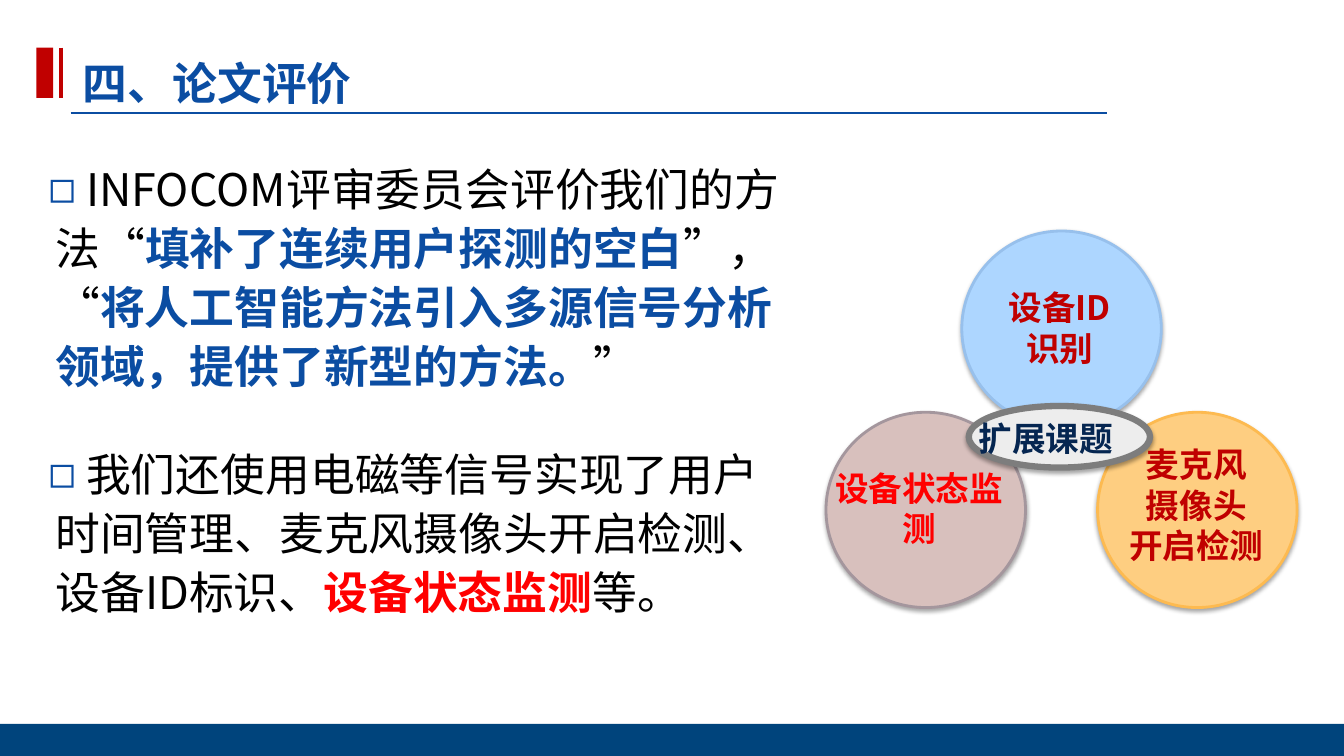
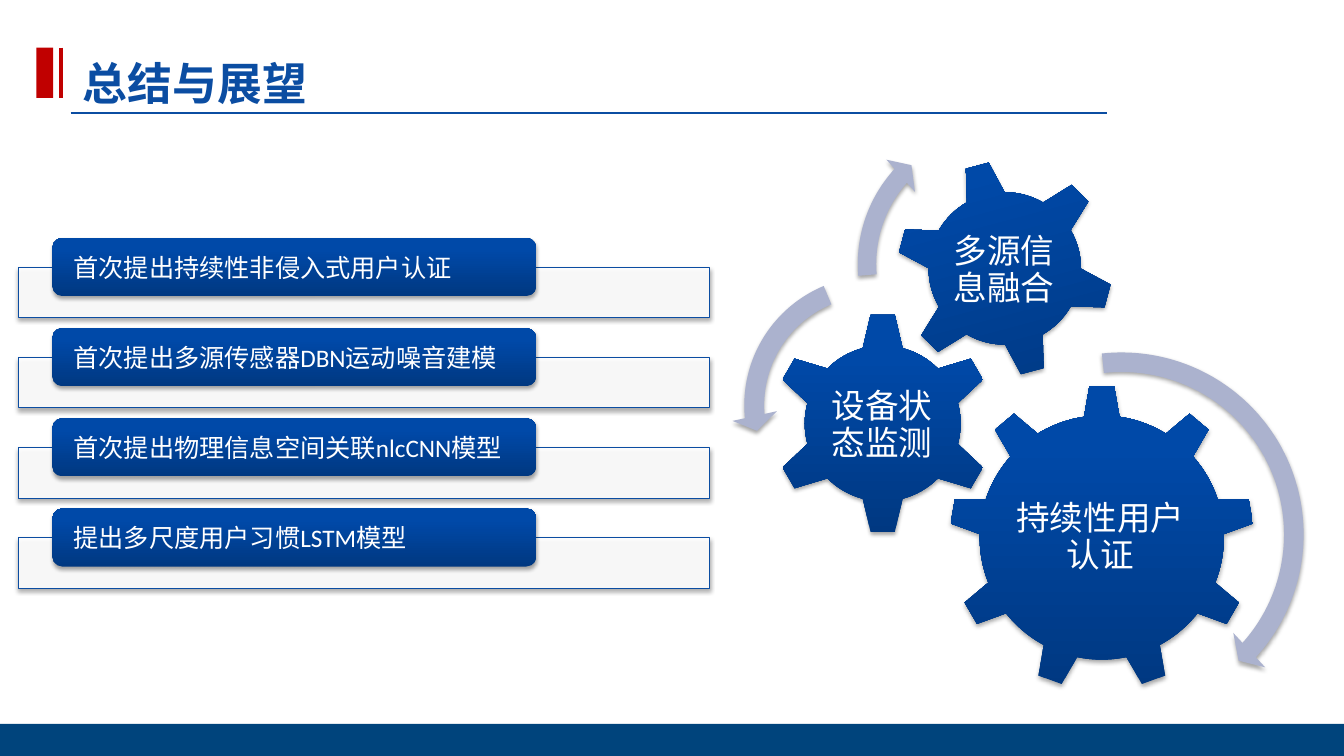
from lxml import etree
from pptx import Presentation
from pptx.dml.color import RGBColor
from pptx.enum import shapes, text
from pptx.oxml import ns
from pptx.util import Pt

COLORS = {
    "white": "FFFFFF", "black": "000000", "blue": "0B4DA2", "band": "00447C",
    "crimson": "C00000", "red": "FF0000", "navy": "052651",
    "gear dark": "003881", "gear light": "0049A8", "arrow": "ABB2CE",
    "sky": "ADD6FF", "sky edge": "97C0EC", "orange": "FECE81",
    "orange edge": "FDBA50", "rose": "D8C0BD", "rose edge": "A4969D",
    "silver": "EDEDED", "gray": "7D7D7D",
}
RGB = {name: RGBColor.from_string(value) for name, value in COLORS.items()}
CJK = "Noto Sans CJK SC"
KIND = shapes.MSO_SHAPE


def paint(shape, fill, line=None, width=0, shadow=True):
    """Fill and outline a shape; the fill "gear" is the dark blue gradient."""
    if fill == "gear":
        shape.fill.gradient()
        shape.fill.gradient_angle = 90
        stops = shape.fill.gradient_stops
        for stop, color, position in zip(stops, ("gear dark", "gear light"), (0, 0.8)):
            stop.color.rgb = RGB[color]
            stop.position = position
    else:
        shape.fill.solid()
        shape.fill.fore_color.rgb = RGB[fill]
    if line:
        shape.line.color.rgb = RGB[line]
        shape.line.width = Pt(width)
    else:
        shape.line.fill.background()
    shape.shadow.inherit = False
    if shadow:
        effects = shape.element.spPr.find(ns.qn("a:effectLst"))
        outer = etree.SubElement(effects, ns.qn("a:outerShdw"), blurRad=str(Pt(3)),
                                 dist=str(Pt(1.8)), dir="5400000", rotWithShape="0")
        tint = etree.SubElement(outer, ns.qn("a:srgbClr"), val=COLORS["black"])
        etree.SubElement(tint, ns.qn("a:alpha"), val="35000")


def style(para, size, color, bold=False, latin="Calibri", spacing=None, align="LEFT"):
    """Set the font and the line height of a whole paragraph."""
    para.alignment = text.PP_ALIGN[align]
    if spacing:
        para.line_spacing = Pt(spacing)
    font = para.font
    font.size, font.bold, font.name = Pt(size), bold, latin
    font.color.rgb = RGB[color]
    etree.SubElement(font._rPr, ns.qn("a:ea"), typeface=CJK)


deck = Presentation()
deck.slide_width, deck.slide_height = Pt(960), Pt(540)
review = deck.slides.add_slide(deck.slide_layouts[1])
summary = deck.slides.add_slide(deck.slide_layouts[5])

# Shared band, title bar and rules, moved to the slide master
furniture = []
for left, top, width, height, color in ((0, 517, 960, 23, "band"), (26, 34, 12, 36, "crimson")):
    bar = review.shapes.add_shape(KIND.RECTANGLE, Pt(left), Pt(top), Pt(width), Pt(height))
    paint(bar, color, shadow=False)
    furniture.append(bar)
for x1, y1, x2, y2, color, weight in ((50.5, 80.5, 790.5, 80.5, "blue", 1.5),
                                      (43.5, 34, 43.5, 70, "crimson", 3)):
    rule = review.shapes.add_connector(shapes.MSO_CONNECTOR.STRAIGHT,
                                       Pt(x1), Pt(y1), Pt(x2), Pt(y2))
    rule.line.color.rgb = RGB[color]
    rule.line.width = Pt(weight)
    etree.SubElement(rule.element.spPr, ns.qn("a:effectLst"))
    furniture.append(rule)
for part in furniture:
    deck.slide_master.shapes.element.append(part.element)

# Titles
for page, heading in ((review, "四、论文评价"), (summary, "总结与展望")):
    title = page.shapes.title
    title.left, title.top, title.width, title.height = Pt(52), Pt(20), Pt(739), Pt(62)
    title.text_frame.text = heading
    title.text_frame.auto_size = text.MSO_AUTO_SIZE.NONE
    title.text_frame.vertical_anchor = text.MSO_ANCHOR.BOTTOM
    style(title.text_frame.paragraphs[0], 32, "blue", bold=True)

# Review: list with highlighted phrases
body = review.placeholders[1]
body.left, body.top, body.width, body.height = Pt(34.5), Pt(108), Pt(524), Pt(344)
frame = body.text_frame
frame.auto_size = text.MSO_AUTO_SIZE.NONE
frame.vertical_anchor = text.MSO_ANCHOR.TOP
frame.margin_left = frame.margin_right = 0
points = (
    ((" INFOCOM评审委员会评价我们的方法“", None), ("填补了连续用户探测的空白", "blue"),
     ("”，“", None), ("将人工智能方法引入多源信号分析领域，提供了新型的方法。", "blue"),
     ("”", None)),
    ((" 我们还使用电磁等信号实现了用户时间管理、麦克风摄像头开启检测、设备ID标识、", None),
     ("设备状态监测", "red"), ("等。", None)),
)
for index, spans in enumerate(points):
    para = frame.add_paragraph() if index else frame.paragraphs[0]
    props = para._p.get_or_add_pPr()
    props.set("marL", str(Pt(5)))
    props.set("indent", str(-Pt(5)))
    bullet_color = etree.SubElement(props, ns.qn("a:buClr"))
    etree.SubElement(bullet_color, ns.qn("a:srgbClr"), val=COLORS["blue"])
    etree.SubElement(props, ns.qn("a:buChar"), char="◻")
    para.space_before = Pt(35 if index else 0)
    para.space_after = Pt(0)
    style(para, 32, "black", latin=CJK, spacing=42.2)
    for words, accent in spans:
        span = para.add_run()
        span.text = words
        if accent:
            span.font.bold = True
            span.font.color.rgb = RGB[accent]

# Review: three circles and the hub
for left, top, width, height, fill, edge, weight in (
        (687, 165, 142.5, 139.5, "sky", "sky edge", 2),
        (784, 294.5, 142.5, 139.5, "orange", "orange edge", 2),
        (590, 294.5, 142.5, 139.5, "rose", "rose edge", 2),
        (692, 290, 129.5, 44, "silver", "gray", 4.5)):
    oval = review.shapes.add_shape(KIND.OVAL, Pt(left), Pt(top), Pt(width), Pt(height))
    paint(oval, fill, edge, weight)

# Summary: gears and turning arrows
for kind, left, top, size, angle in ((KIND.GEAR_9, 678, 275, 218, 0),
                                     (KIND.GEAR_6, 551, 223, 159, 0),
                                     (KIND.GEAR_6, 640, 114, 155.5, 345)):
    gear = summary.shapes.add_shape(kind, Pt(left), Pt(top), Pt(size), Pt(size))
    gear.rotation = angle
    paint(gear, "gear")
for kind, left, top, size, settings in (
        (KIND.CIRCULAR_ARROW, 661.5, 242, 279.5, (0.05, 2.99, 25.33, 158.25, 0.06)),
        (KIND.LEFT_CIRCULAR_ARROW, 522.5, 188, 203, (0.07, 4.3, 104.89, 148.38, 0.08)),
        (KIND.CIRCULAR_ARROW, 604, 79, 219, (0.06, 3.94, 133.14, 105.08, 0.07))):
    arrow = summary.shapes.add_shape(kind, Pt(left), Pt(top), Pt(size), Pt(size))
    for index, value in enumerate(settings):
        arrow.adjustments[index] = value
    paint(arrow, "arrow")

# Labels of circles and gears, placed by their centres
LABEL_HEIGHT = 86
for page, lines, center_x, center_y, width, color in (
        (review, ("设备ID", "识别"), 757, 234, 128, "crimson"),
        (review, ("设备状态监测",), 656.5, 363, 130, "red"),
        (review, ("麦克风", "摄像头", "开启检测"), 854.5, 360.5, 150, "crimson"),
        (review, ("扩展课题",), 747, 313, 110, "navy"),
        (summary, ("持续性用户认证",), 786, 384, 124, "white"),
        (summary, ("设备状态监测",), 630, 304, 76, "white"),
        (summary, ("多源信息融合",), 717, 193, 82, "white")):
    box = page.shapes.add_textbox(Pt(center_x - width / 2), Pt(center_y - LABEL_HEIGHT / 2),
                                  Pt(width), Pt(LABEL_HEIGHT))
    frame = box.text_frame
    frame.word_wrap = True
    frame.vertical_anchor = text.MSO_ANCHOR.MIDDLE
    frame.margin_left = frame.margin_right = frame.margin_top = frame.margin_bottom = 0
    on_circle = page is review
    for index, words in enumerate(lines):
        para = frame.add_paragraph() if index else frame.paragraphs[0]
        para.text = words
        style(para, 24, color, bold=on_circle, latin=CJK if on_circle else "Calibri",
              spacing=28.8 if on_circle else 26.4, align="CENTER")

# Summary: contributions, each a tab on a pale strip
ROW_PITCH = 64.4
for row, words in enumerate(("首次提出持续性非侵入式用户认证", "首次提出多源传感器DBN运动噪音建模",
                             "首次提出物理信息空间关联nlcCNN模型", "提出多尺度用户习惯LSTM模型")):
    top = 170 + row * ROW_PITCH
    strip = summary.shapes.add_shape(KIND.RECTANGLE, Pt(13), Pt(top + 21), Pt(494), Pt(36))
    paint(strip, "white", "blue", 0.75)
    strip_color = strip.element.spPr.find(ns.qn("a:solidFill"))[0]
    etree.SubElement(strip_color, ns.qn("a:alpha"), val="90000")
    tab = summary.shapes.add_shape(KIND.ROUNDED_RECTANGLE, Pt(37.5), Pt(top), Pt(345.5), Pt(41.5))
    paint(tab, "gear")
    frame = tab.text_frame
    frame.margin_left = Pt(13)
    frame.margin_right = frame.margin_top = frame.margin_bottom = 0
    frame.vertical_anchor = text.MSO_ANCHOR.MIDDLE
    frame.text = words
    style(frame.paragraphs[0], 18, "white")

deck.save("out.pptx")
